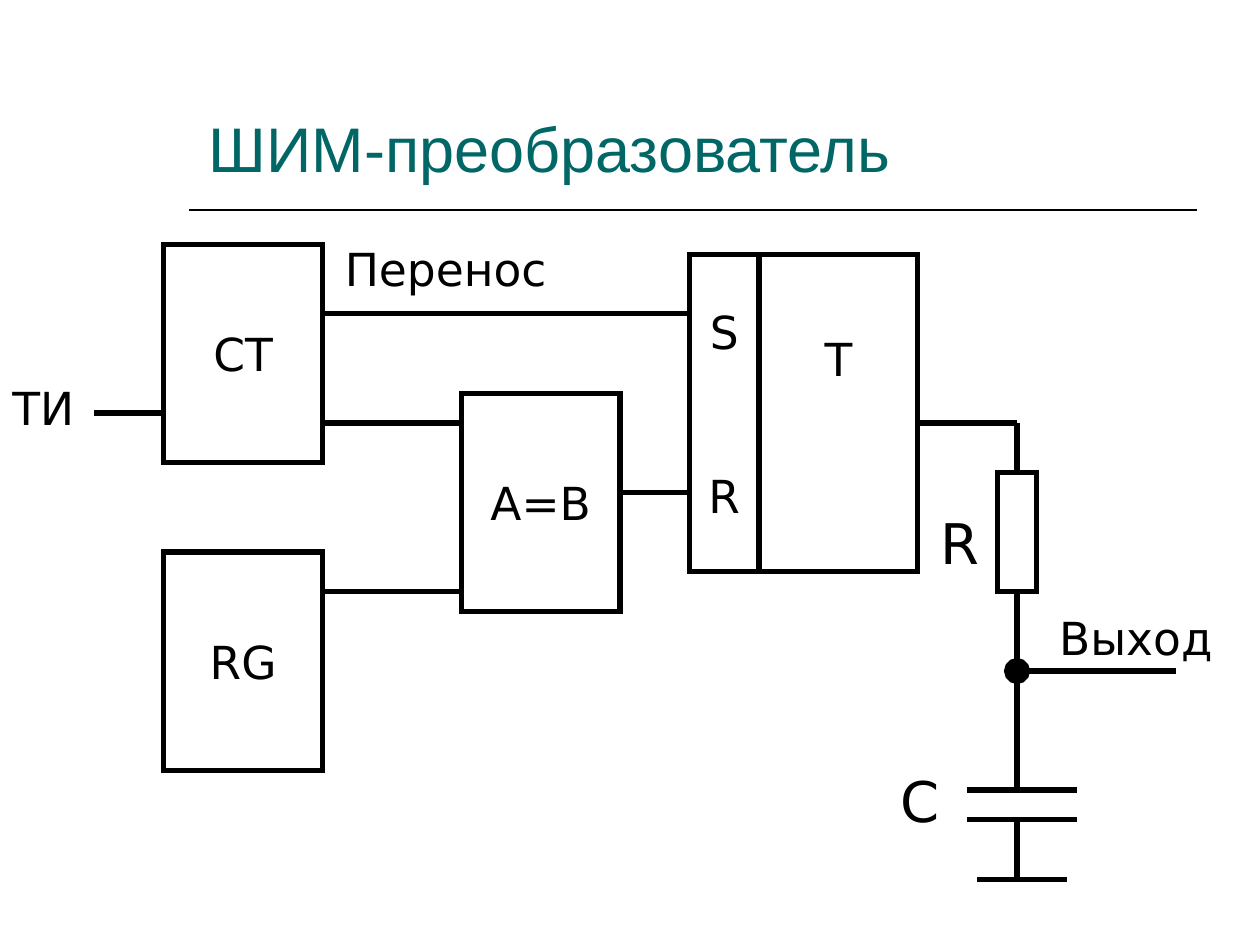
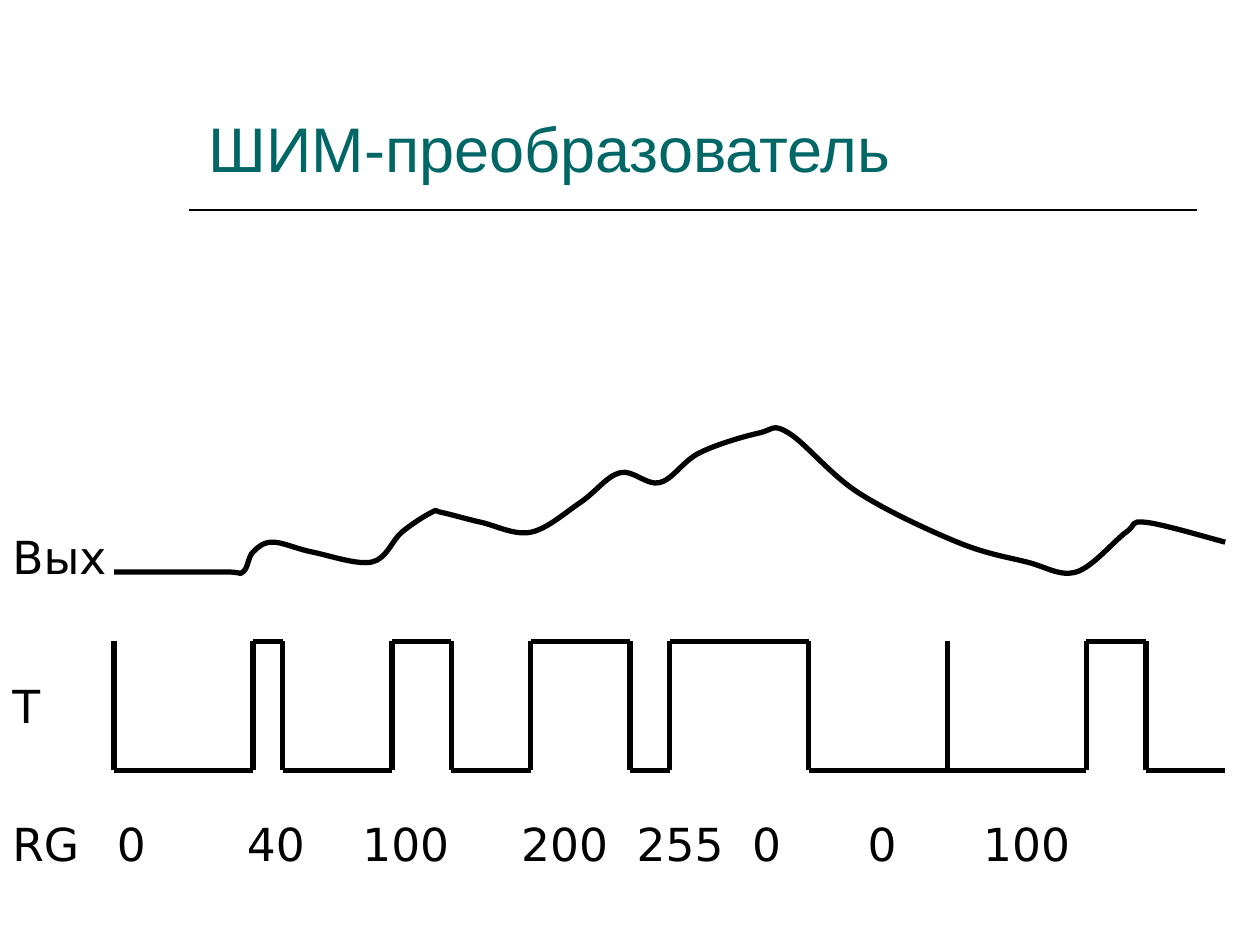
"""Build two slides on a PWM converter: its circuit and its timing diagram."""
from lxml import etree
from pptx import Presentation
from pptx import util as u
from pptx.dml.color import RGBColor
from pptx.enum import shapes, text
from pptx.oxml import ns

TITLE = "ШИМ-преобразователь"
TEAL = RGBColor(0x00, 0x66, 0x66)
BLACK = RGBColor(0x00, 0x00, 0x00)
WHITE = RGBColor(0xFF, 0xFF, 0xFF)
TITLE_FONT = {"name": "Arial", "size": u.Pt(36)}
LABEL_FONT = {"name": "DejaVu Sans", "size": u.Pt(26)}
PART_FONT = {"name": "DejaVu Sans", "size": u.Pt(32)}

GRID = u.Mm(2)
CIRCUIT_ORIGIN = (u.Inches(1.3), u.Inches(1.94))
PULSE_ORIGIN = (u.Mm(23), u.Mm(155.3))
CURVE_ORIGIN = (u.Mm(23), u.Mm(115.3))

# Blocks: column, row, columns wide, rows high, lines of text, bottom inset
BLOCKS = [
    (0, 0, 16, 22, ["СT"], 0.05),
    (0, 31, 16, 22, ["RG"], 0.05),
    (30, 15, 16, 22, ["A=B"], 0.05),
    (53, 1, 7, 32, ["S", "R"], 0.05),
    (60, 1, 16, 32, ["T"], 0.92),
    (84, 23, 4, 12, [], 0.05),
]
WIRES = [
    (-7, 17, 0, 17), (16, 7, 53, 7), (16, 18, 30, 18), (16, 35, 30, 35),
    (46, 25, 53, 25), (76, 18, 86, 18), (86, 23, 86, 18), (86, 43, 86, 35),
    (102, 43, 87, 43), (81, 55, 92, 55), (81, 58, 92, 58), (86, 58, 86, 64),
    (82, 64, 91, 64),
]
NODE_WIRE = (86, 55, 86, 43)
CIRCUIT_LABELS = [
    (17, -1, 26, "Перенос", LABEL_FONT), (89, 36.2, 20, "Выход", LABEL_FONT),
    (-16.5, 13, 26, "ТИ", LABEL_FONT), (73, 52, 6, "C", PART_FONT),
    (77, 26, 6, "R", PART_FONT),
]

PERIOD, PULSE_HEIGHT = 14, 13
PULSE_WIDTHS = [0, 3, 6, 10, 14, 0, 0, 6]
ROW_LABELS = [("Вых", 4.15), ("Т", 5.33), ("RG", 6.43)]
CODES = ["0", "40", "100", "200", "255", "0", "0", "100"]
CODE_STOPS = [9, 17, 28, 36, 44, 52, 60]
HALF_DIGIT = u.Pt(8.25)
OUTPUT = [
    (0, 0), (11, 0), (13, 0), (14, 2), (16, 3), (20, 2), (26, 1), (29, 4), (32, 6),
    (33, 6), (37, 5), (42, 4), (47, 7), (51, 10), (55, 9), (59, 12), (65, 14), (68, 14),
    (75, 8), (85, 3), (92, 1), (97, 0), (102, 4), (104, 5), (112, 3),
]


def apply(target, values):
    """Set each named attribute of the target."""
    for name, value in values.items():
        setattr(target, name, value)


def place(origin, column, row):
    """Turn a grid position into slide coordinates."""
    return round(origin[0] + column * GRID), round(origin[1] + row * GRID)


def style_line(shape, width):
    """Give a shape or connector a plain black line."""
    shape.line.color.rgb = BLACK
    shape.line.width = u.Pt(width)


def add_line_part(shape, tag, **attributes):
    """Add a join or an end mark to the line of a shape."""
    etree.SubElement(shape.line._get_or_add_ln(), ns.qn(tag), **attributes)


def add_line(slide, start, end, width=3):
    """Draw a straight black line without shadow."""
    line = slide.shapes.add_connector(shapes.MSO_CONNECTOR.STRAIGHT, *start, *end)
    style_line(line, width)
    etree.SubElement(line._element.spPr, ns.qn("a:effectLst"))
    return line


def add_wire(slide, origin, wire):
    """Draw a line between two grid positions."""
    return add_line(slide, place(origin, *wire[:2]), place(origin, *wire[2:]))


def add_label(slide, left, top, width, height, words, font, color=BLACK, anchor="TOP"):
    """Add a one-paragraph text box and return the paragraph."""
    frame = slide.shapes.add_textbox(left, top, width, height).text_frame
    apply(frame, {"word_wrap": True, "vertical_anchor": text.MSO_ANCHOR[anchor]})
    paragraph = frame.paragraphs[0]
    paragraph.text = words
    apply(paragraph.font, font)
    paragraph.font.color.rgb = color
    return paragraph


def add_titled_slide(presentation):
    """Add a blank slide with the shared title and rule."""
    slide = presentation.slides.add_slide(presentation.slide_layouts[6])
    rule_y = u.Mm(42.3)
    add_line(slide, (u.Inches(1.5), rule_y), (u.Inches(9.5), rule_y), 1)
    add_label(slide, u.Inches(1.56), u.Inches(0.39), u.Inches(7.88), u.Inches(1.13),
              TITLE, TITLE_FONT, TEAL, "BOTTOM")
    return slide


def add_block(slide, column, row, columns, rows, lines, bottom):
    """Draw a white circuit block with centred text."""
    block = slide.shapes.add_shape(shapes.MSO_SHAPE.RECTANGLE,
                                   *place(CIRCUIT_ORIGIN, column, row),
                                   columns * GRID, rows * GRID)
    block.shadow.inherit = False
    block.fill.solid()
    block.fill.fore_color.rgb = WHITE
    style_line(block, 3)
    add_line_part(block, "a:miter", lim="800000")
    frame = block.text_frame
    apply(frame, {"word_wrap": False, "margin_bottom": u.Inches(bottom),
                  "vertical_anchor": text.MSO_ANCHOR.MIDDLE})
    for index, words in enumerate(lines):
        paragraph = frame.add_paragraph() if index else frame.paragraphs[0]
        paragraph.text = words
        paragraph.alignment = text.PP_ALIGN.CENTER
        if index:
            paragraph.space_before = u.Pt(62.5)
        apply(paragraph.font, LABEL_FONT)
        paragraph.font.color.rgb = BLACK


def add_curve(slide, points):
    """Draw a smooth black curve through the points."""
    builder = slide.shapes.build_freeform(*points[0])
    builder.add_line_segments(points[1:], close=False)
    curve = builder.convert_to_shape()
    curve.shadow.inherit = False
    curve.fill.background()
    style_line(curve, 3)
    outline = curve._element.spPr
    knots = [(int(point.get("x")), int(point.get("y")))
             for point in outline.iter(ns.qn("a:pt"))]
    padded = [knots[0], *knots, knots[-1]]
    segments = list(outline.iter(ns.qn("a:lnTo")))
    for segment, a, b, c, d in zip(segments, padded, padded[1:], padded[2:], padded[3:]):
        leave = [q + (r - p) / 6 for p, q, r in zip(a, b, c)]
        arrive = [r - (s - q) / 6 for q, r, s in zip(b, c, d)]
        bend = etree.Element(ns.qn("a:cubicBezTo"))
        for x, y in (leave, arrive, c):
            etree.SubElement(bend, ns.qn("a:pt"), x=str(round(x)), y=str(round(y)))
        segment.getparent().replace(segment, bend)


def build_circuit(presentation):
    """Build the circuit slide."""
    slide = add_titled_slide(presentation)
    for block in BLOCKS:
        add_block(slide, *block)
    for wire in WIRES:
        add_wire(slide, CIRCUIT_ORIGIN, wire)
    node = add_wire(slide, CIRCUIT_ORIGIN, NODE_WIRE)
    add_line_part(node, "a:tailEnd", type="oval", w="lg", len="lg")
    for column, row, columns, words, font in CIRCUIT_LABELS:
        add_label(slide, *place(CIRCUIT_ORIGIN, column, row), columns * GRID,
                  u.Inches(0.54), words, font)


def build_timing(presentation):
    """Build the timing slide."""
    slide = add_titled_slide(presentation)
    for index, width in enumerate(PULSE_WIDTHS):
        start, end = index * PERIOD, (index + 1) * PERIOD
        fall = start + width
        wires = [(start, 0, start, -PULSE_HEIGHT)]
        if width:
            wires.append((start, -PULSE_HEIGHT, fall, -PULSE_HEIGHT))
        if 0 < width < PERIOD:
            wires.append((fall, 0, fall, -PULSE_HEIGHT))
        if width < PERIOD:
            wires.append((fall, 0, end, 0))
        for wire in wires:
            add_wire(slide, PULSE_ORIGIN, wire)
    add_curve(slide, [place(CURVE_ORIGIN, x, -y) for x, y in OUTPUT])

    for words, top in ROW_LABELS:
        add_label(slide, 0, u.Inches(top), u.Inches(1.06), u.Inches(0.54), words, LABEL_FONT)
    codes = add_label(slide, u.Inches(0.83), u.Inches(ROW_LABELS[-1][1]), u.Inches(8.74),
                      u.Inches(0.54), "\t".join(CODES), {})
    stops = etree.Element(ns.qn("a:tabLst"))
    for stop in CODE_STOPS:
        etree.SubElement(stops, ns.qn("a:tab"), pos=str(stop * HALF_DIGIT), algn="l")
    codes._p.get_or_add_pPr().insert(0, stops)
    apply(codes.font, LABEL_FONT)


def main():
    """Create and save the presentation."""
    presentation = Presentation()
    apply(presentation, {"slide_width": u.Inches(10), "slide_height": u.Inches(7.5)})
    build_circuit(presentation)
    build_timing(presentation)
    presentation.save("out.pptx")


if __name__ == "__main__":
    main()
